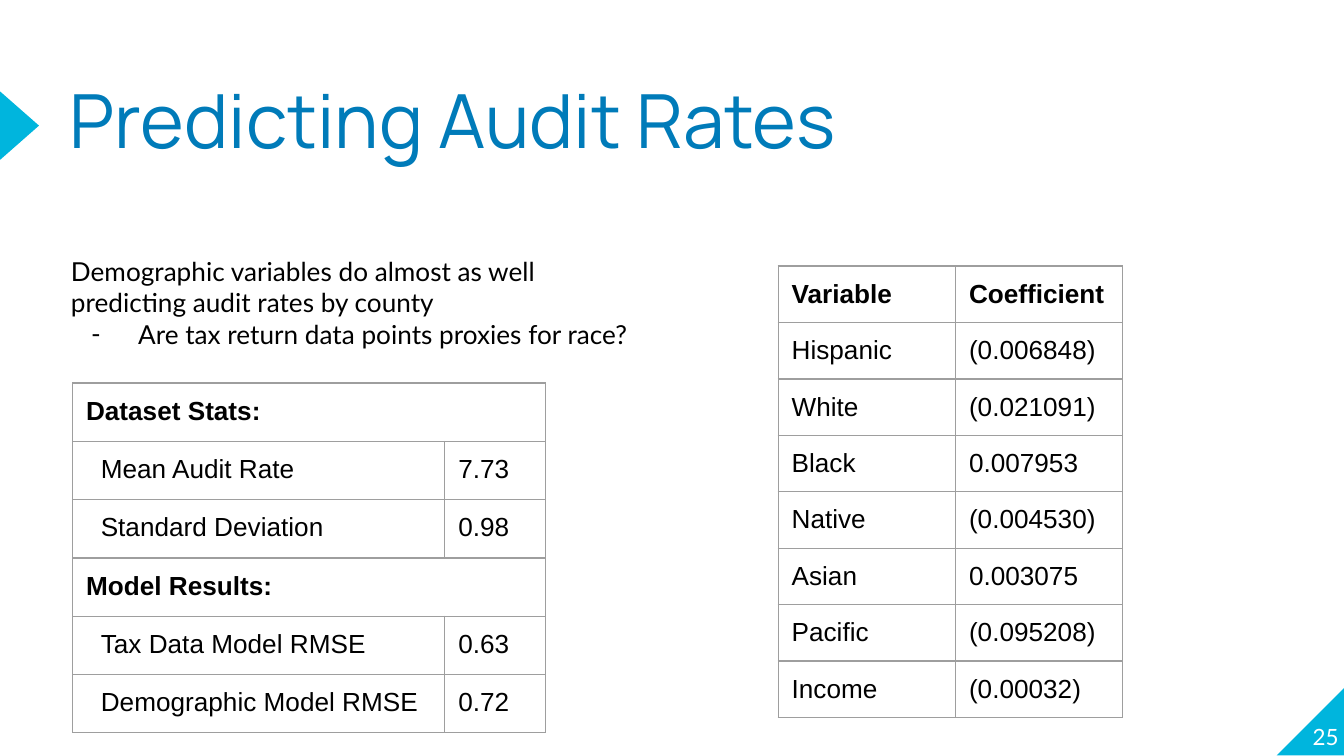
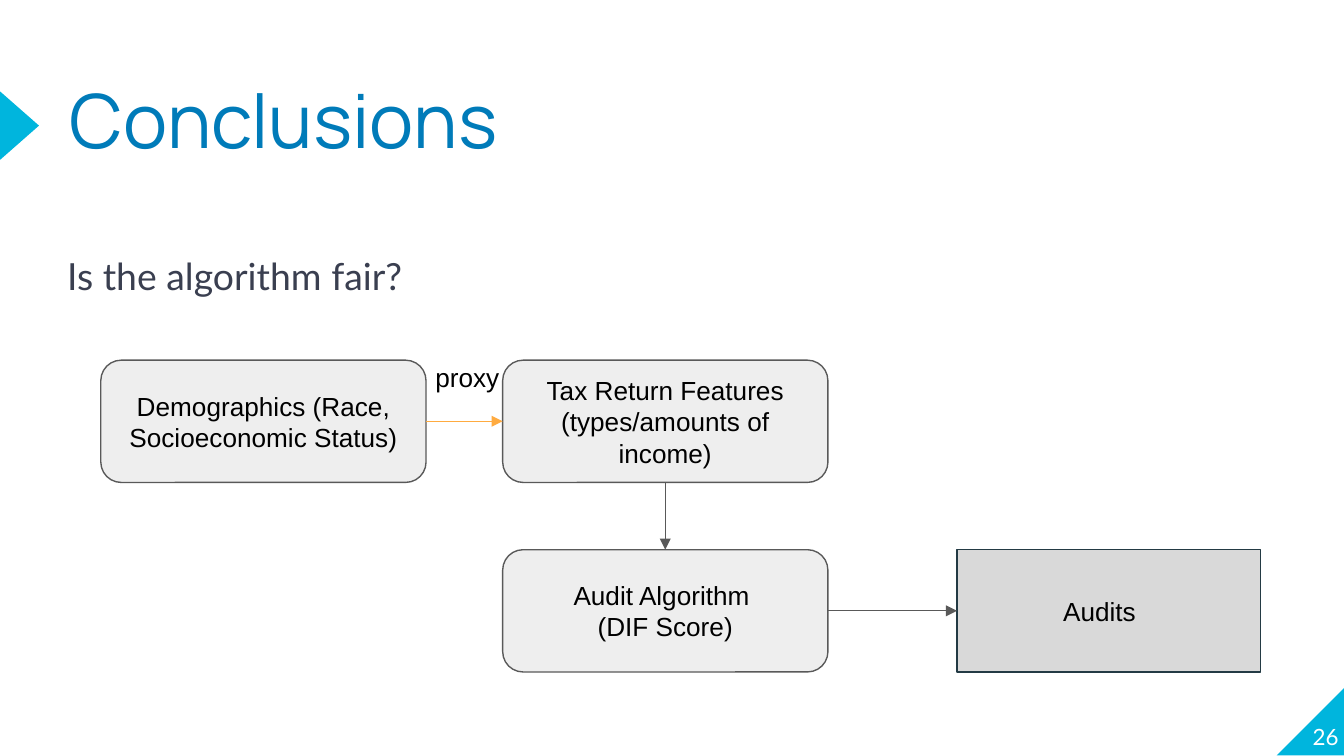
from dataclasses import dataclass

from lxml.etree import SubElement
from pptx import Presentation
from pptx.dml.color import RGBColor
from pptx.enum.shapes import MSO_CONNECTOR as CONN, MSO_SHAPE as SHAPE
from pptx.enum.text import MSO_ANCHOR as ANCHOR, PP_ALIGN as ALIGN
from pptx.oxml.ns import qn
from pptx.util import Inches, Pt


@dataclass(frozen=True)
class Theme:
    accent: str = "00B5DD"
    title: str = "007BB9"
    body: str = "3A3F50"
    ink: str = "000000"
    white: str = "FFFFFF"
    grid: str = "9E9E9E"
    node: str = "EEEEEE"
    edge: str = "595959"
    result: str = "D9D9D9"
    result_edge: str = "233A44"
    proxy: str = "FFAB40"
    title_font: str = "Manrope"
    body_font: str = "Lato"
    plain_font: str = "Arial"
    title_size: int = 40
    lead_size: int = 20
    text_size: int = 14
    number_size: int = 12
    line: float = 0.75
    pad: float = 0.1


T = Theme()
PLAIN = dict(name=T.plain_font, size=T.text_size, color=T.ink)
NOTE = dict(PLAIN, name=T.body_font)
TITLE = dict(name=T.title_font, size=T.title_size, color=T.title)
LEAD = dict(name=T.body_font, size=T.lead_size, color=T.body)
NUMBER = dict(name=T.body_font, size=T.number_size, color=T.white)

COEFFICIENTS = [
    ("Variable", "Coefficient"),
    ("Hispanic", "(0.006848)"),
    ("White", "(0.021091)"),
    ("Black", "0.007953"),
    ("Native", "(0.004530)"),
    ("Asian", "0.003075"),
    ("Pacific", "(0.095208)"),
    ("Income", "(0.00032)"),
]
STATS = [
    ("Dataset Stats:",),
    ("Mean Audit Rate", "7.73"),
    ("Standard Deviation", "0.98"),
    ("Model Results:",),
    ("Tax Data Model RMSE", "0.63"),
    ("Demographic Model RMSE", "0.72"),
]


def rgb(color):
    return RGBColor.from_string(color)


def inches(*values):
    return [Inches(v) for v in values]


def set_all(obj, values):
    for name, value in values.items():
        setattr(obj, name, value)


def write(tf, lines, font, pad=T.pad, **para):
    """Fill a text frame with one paragraph per line."""
    tf.word_wrap = True
    sides = ("left", "top", "right", "bottom")
    set_all(tf, {f"margin_{side}": Inches(pad) for side in sides})
    for i, line in enumerate(lines):
        p = tf.add_paragraph() if i else tf.paragraphs[0]
        set_all(p, para)
        add_run(p, line, **font)


def add_run(p, text, name, size, color, bold=False):
    r = p.add_run()
    r.text = text
    set_all(r.font, dict(name=name, size=Pt(size), bold=bold))
    r.font.color.rgb = rgb(color)


def add_text(s, box, lines, font, **fmt):
    tf = s.shapes.add_textbox(*inches(*box)).text_frame
    write(tf, lines, font, **fmt)
    return tf


def add_shape(s, kind, box, fill, line=None):
    sp = s.shapes.add_shape(kind, *inches(*box))
    sp.shadow.inherit = False
    sp.fill.solid()
    sp.fill.fore_color.rgb = rgb(fill)
    if line:
        sp.line.color.rgb = rgb(line)
        sp.line.width = Pt(T.line)
    else:
        sp.line.fill.background()
    return sp


def add_arrow(s, start, start_site, end, end_site, color):
    c = s.shapes.add_connector(CONN.STRAIGHT, 0, 0, 0, 0)
    c.begin_connect(start, start_site)
    c.end_connect(end, end_site)
    c.line.color.rgb = rgb(color)
    c.line.width = Pt(T.line)
    SubElement(c.line._get_or_add_ln(), qn("a:tailEnd"), type="triangle")
    SubElement(c._element.spPr, qn("a:effectLst"))


def set_borders(cell):
    tcPr = cell._tc.get_or_add_tcPr()
    for i, side in enumerate(("lnL", "lnR", "lnT", "lnB")):
        ln = tcPr.makeelement(qn(f"a:{side}"), {"w": str(Pt(T.line))})
        fill = SubElement(ln, qn("a:solidFill"))
        SubElement(fill, qn("a:srgbClr"), val=T.grid)
        tcPr.insert(i, ln)


def add_grid(s, left, top, widths, row_height, rows, bold_rows,
             indent=0, bottom=T.pad):
    """Ruled table; a row with one entry spans the full width."""
    size = sum(widths), row_height * len(rows)
    table = s.shapes.add_table(
        len(rows), len(widths), *inches(left, top, *size)).table
    set_all(table, dict(first_row=False, horz_banding=False))
    for col, width in zip(table.columns, widths):
        col.width = Inches(width)
    for i, values in enumerate(rows):
        table.rows[i].height = Inches(row_height)
        for j in range(len(widths)):
            cell = table.cell(i, j)
            cell.fill.background()
            set_borders(cell)
            shift = indent if j == 0 and i not in bold_rows else 0
            set_all(cell, dict(
                margin_left=Inches(T.pad + shift), margin_right=Inches(T.pad),
                margin_top=Inches(T.pad), margin_bottom=Inches(bottom)))
            if j < len(values):
                add_run(cell.text_frame.paragraphs[0], values[j],
                        bold=i in bold_rows, **PLAIN)
        if len(values) == 1:
            table.cell(i, 0).merge(table.cell(i, len(widths) - 1))


def add_frame(prs, title, number):
    """Blank slide with the shared marker, corner, title and page number."""
    s = prs.slides.add_slide(prs.slide_layouts[6])
    corner = add_shape(s, SHAPE.RIGHT_TRIANGLE, (9.5, 5.11, 0.51, 0.51), T.accent)
    corner._element.spPr.get_or_add_xfrm().set("flipH", "1")
    marker = add_shape(
        s, SHAPE.ISOSCELES_TRIANGLE, (-0.11, 0.79, 0.51, 0.29), T.accent)
    marker.rotation = 90
    add_text(s, (0.52, 0.68, 8.96, 1.18), [title], TITLE, pad=0, line_spacing=0.8)
    tf = add_text(s, (9.46, 5.07, 0.5, 0.51), [str(number)], NUMBER,
                  pad=0, alignment=ALIGN.RIGHT)
    tf.vertical_anchor = ANCHOR.BOTTOM
    return s


def add_finding(s, box):
    """Statement with one dashed question below it."""
    tf = add_text(s, box, [
        "Demographic variables do almost as well predicting audit rates by county",
        "Are tax return data points proxies for race?",
    ], NOTE)
    pPr = tf.paragraphs[1]._p.get_or_add_pPr()
    for name, value in dict(marL=0.5, indent=-0.35).items():
        pPr.set(name, str(Inches(value)))
    color = SubElement(pPr, qn("a:buClr"))
    SubElement(color, qn("a:srgbClr"), val=T.ink)
    SubElement(pPr, qn("a:buFont"), typeface=T.body_font)
    SubElement(pPr, qn("a:buChar"), char="-")


def add_flow(s, left, top):
    """Flow from demographics to audits on a grid of columns and rows."""
    width, height, col_step, row_step = 2.42, 0.91, 2.99, 1.41

    def node(col, row, lines):
        box = left + col * col_step, top + row * row_step, width, height
        sp = add_shape(s, SHAPE.ROUNDED_RECTANGLE, box, T.node, T.edge)
        write(sp.text_frame, lines, PLAIN, alignment=ALIGN.CENTER)
        sp.text_frame.vertical_anchor = ANCHOR.MIDDLE
        return sp

    people = node(0, 0, ["Demographics (Race, Socioeconomic Status)"])
    algorithm = node(1, 1, ["Audit Algorithm ", "(DIF Score)"])

    # Outcome
    audits = add_shape(s, SHAPE.RECTANGLE, (left + 6.37, top + row_step, 2.26, height),
                       T.result, T.result_edge)
    tf = audits.text_frame
    write(tf, ["Audits"], PLAIN, alignment=ALIGN.LEFT)
    set_all(tf, dict(vertical_anchor=ANCHOR.MIDDLE, margin_left=Inches(0.79)))

    add_text(s, (left + 2.39, top - 0.09, 0.85, 0.44), ["proxy"], PLAIN)
    features = node(1, 0, ["Tax Return Features", "(types/amounts of income)"])

    # Arrows; sites run top, left, bottom, right
    add_arrow(s, features, 2, algorithm, 0, T.edge)
    add_arrow(s, algorithm, 3, audits, 1, T.edge)
    add_arrow(s, people, 3, features, 1, T.proxy)


def build_rates(prs):
    s = add_frame(prs, "Predicting Audit Rates", 25)
    add_grid(s, 5.79, 1.98, (1.32, 1.24), 0.42, COEFFICIENTS, {0}, bottom=0.08)
    add_finding(s, (0.43, 1.8, 4.46, 0.91))
    add_grid(s, 0.54, 2.85, (2.77, 0.75), 0.43, STATS, {0, 3}, indent=0.11)


def build_conclusions(prs):
    s = add_frame(prs, "Conclusions", 26)
    add_text(s, (0.5, 1.85, 3.05, 0.56), ["Is the algorithm fair?"], LEAD,
             pad=0, line_spacing=1.1)
    add_flow(s, 0.75, 2.68)


def main():
    prs = Presentation()
    # Widescreen, 16:9
    set_all(prs, dict(slide_width=Inches(10), slide_height=Inches(10 * 9 / 16)))
    build_rates(prs)
    build_conclusions(prs)
    prs.save("out.pptx")


if __name__ == "__main__":
    main()
